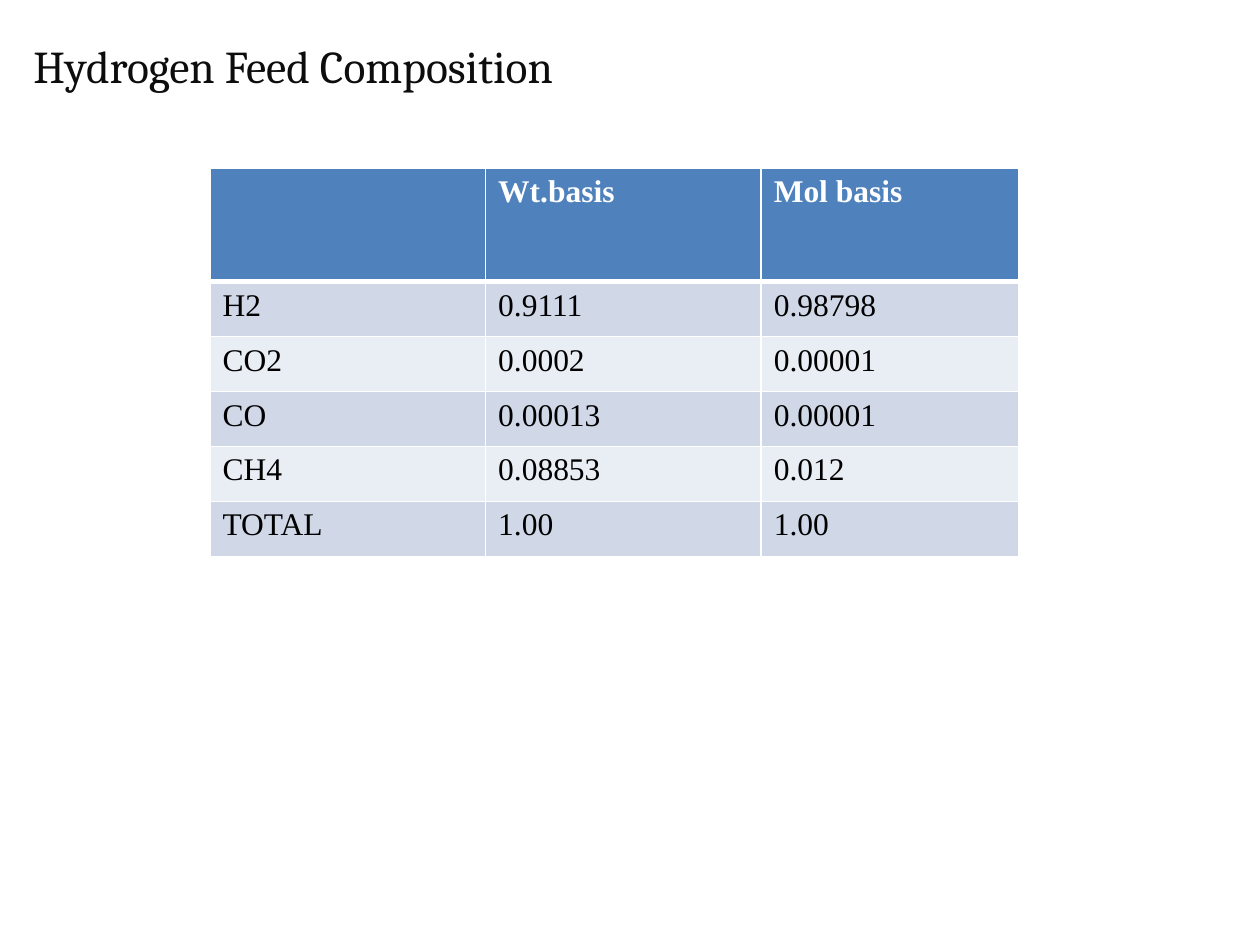
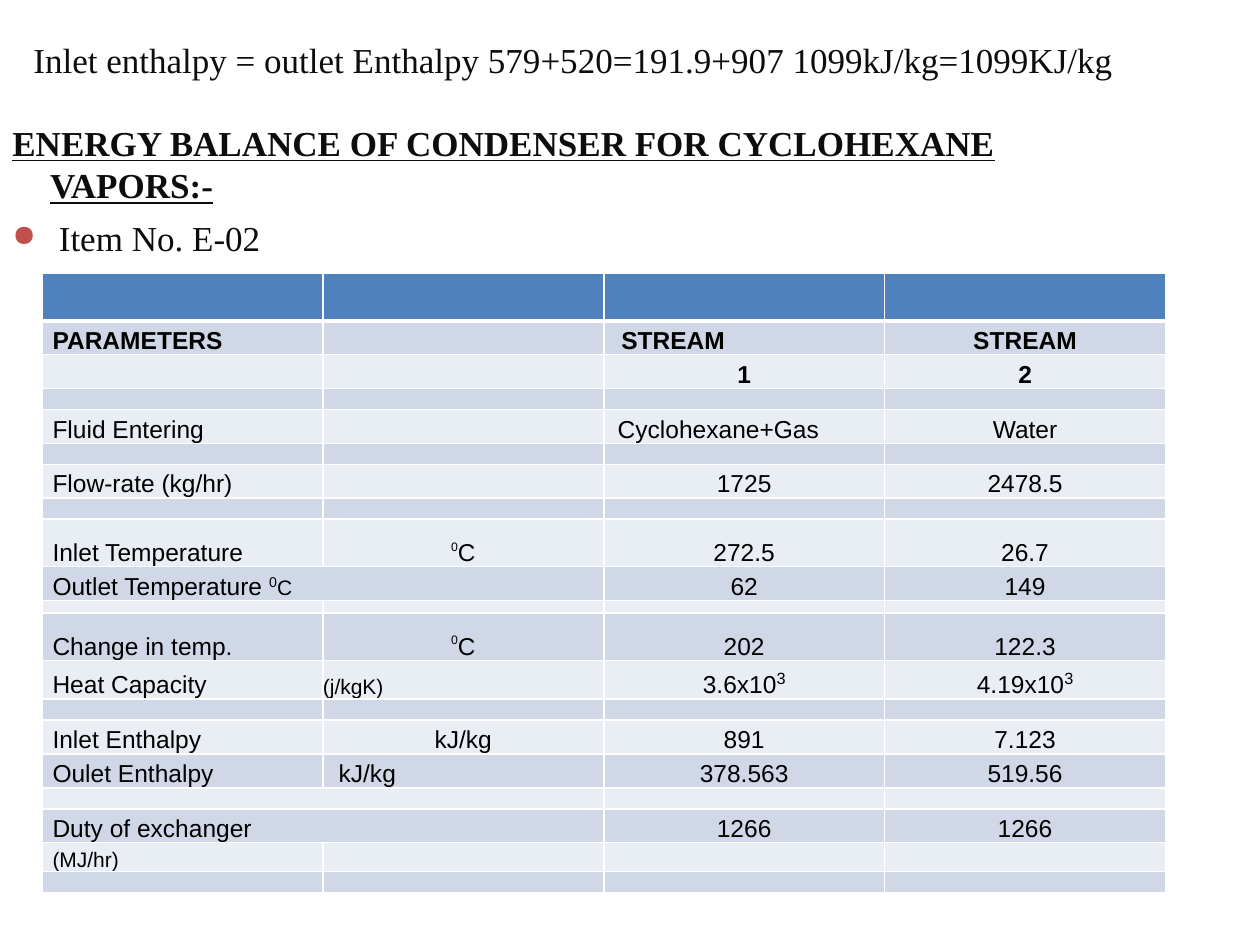
from lxml import etree
from pptx import Presentation
from pptx.dml.color import RGBColor
from pptx.enum import text as txt
from pptx.oxml import ns
from pptx.util import Pt

INK, BLACK, WHITE = "0D0D0D", "000000", "FFFFFF"
BLUE, BANDS, RED = "4F81BD", ("D0D8E8", "E9EDF4"), "C0504D"
SERIF, SANS, TITLE = "Times New Roman", "Arial", "Cambria"

FEED = [
    ["", "Wt.basis", "Mol basis"],
    ["H2", "0.9111", "0.98798"],
    ["CO2", "0.0002", "0.00001"],
    ["CO", "0.00013", "0.00001"],
    ["CH4", "0.08853", "0.012"],
    ["TOTAL", "1.00", "1.00"],
]

# A cell is a string or a list of runs: (text, size, baseline percent).
DEGREE = [("0", 7, 0), ("C", 24, -25)]
GAP = (12, ["", "", "", ""])
DUTY = [  # row height, cells
    (27.4, ["", "", "", ""]),
    (18, ["PARAMETERS", "", "STREAM", "STREAM"]),
    (18, ["", "", "1", "2"]),
    GAP,
    (18, ["Fluid Entering", "", "Cyclohexane+Gas", "Water"]),
    GAP,
    (18, ["Flow-rate (kg/hr)", "", "1725", "2478.5"]),
    GAP,
    (27, ["Inlet Temperature", DEGREE, "272.5", "26.7"]),
    (18, [[("Outlet Temperature ", 14, 0), ("0", 14, 30), ("C", 12, 0)],
          "", "62", "149"]),
    (7.2, ["", "", "", ""]),
    (27, ["Change in temp.", DEGREE, "202", "122.3"]),
    (20, ["Heat Capacity", [("(j/kgK)", 12, 0)],
          [("3.6x10", 14, 0), ("3", 16, 30)],
          [("4.19x10", 14, 0), ("3", 16, 30)]]),
    GAP,
    (18, ["Inlet Enthalpy", "kJ/kg", "891", "7.123"]),
    (18, ["Oulet Enthalpy", "kJ/kg", "378.563", "519.56"]),
    GAP,
    (18, ["Duty of exchanger", "", "1266", "1266"]),
    (16, [[("(MJ/hr)", 12, 0)], "", "", ""]),
    GAP,
]
WIDE = (9, 16, 17)  # rows whose first two cells are one
BOLD = (1, 2)
LEFT = {(1, 2): 10, (4, 2): 8, (12, 1): 0, (15, 1): 9}  # indents


def color(code):
    return RGBColor.from_string(code)


def add(node, tag, **attrs):
    return etree.SubElement(node, ns.qn("a:" + tag), **attrs)


def style(run, font, size, code, bold=False, line=False):
    face = run.font
    face.name, face.size, face.bold = font, Pt(size), bold
    face.underline = line
    face.color.rgb = color(code)


def indent(para, left, first=0):
    props = para._p.get_or_add_pPr()
    props.set("marL", str(Pt(left)))
    props.set("indent", str(Pt(first)))
    return props


def bullet(props, mark, code):
    add(add(props, "buClr"), "srgbClr", val=code)
    add(props, "buSzPct", val="85000")
    add(props, "buChar", char=mark)


def add_box(slide, left, top, width, height, wrap=True):
    frame = slide.shapes.add_textbox(
        Pt(left), Pt(top), Pt(width), Pt(height)).text_frame
    frame.word_wrap = wrap
    return frame


def write(para, words, font, size, **kind):
    para.text = words
    style(para.runs[0], font, size, INK, **kind)


def add_grid(slide, left, top, widths, heights):
    """Add a table with a blue head, banded rows and white rules."""
    grid = slide.shapes.add_table(
        len(heights), len(widths), Pt(left), Pt(top),
        Pt(sum(widths)), Pt(sum(heights))).table
    for col, width in zip(grid.columns, widths):
        col.width = Pt(width)
    for i, height in enumerate(heights):
        grid.rows[i].height = Pt(height)
        for cell in grid.rows[i].cells:
            props = cell._tc.get_or_add_tcPr()
            for side in "LRTB":
                head = (i == 0 and side == "B") or (i == 1 and side == "T")
                rule = add(props, "ln" + side, w=str(Pt(3 if head else 1)))
                add(add(rule, "solidFill"), "srgbClr", val=WHITE)
            cell.fill.solid()
            cell.fill.fore_color.rgb = color(BANDS[(i + 1) % 2] if i else BLUE)
    return grid


def trim(cell):
    """Remove the insets and seat the text at the bottom."""
    cell.margin_left = cell.margin_right = 0
    cell.margin_top = cell.margin_bottom = 0
    cell.vertical_anchor = txt.MSO_ANCHOR.BOTTOM


def fill_duty(cell, spot, runs):
    row, col = spot
    para = cell.text_frame.paragraphs[0]
    trim(cell)
    if not runs:
        add(para._p, "endParaRPr", sz="400")
        return
    if col == 0 or spot in LEFT:
        indent(para, LEFT.get(spot, 6))
    else:
        para.alignment = txt.PP_ALIGN.CENTER
    para.line_spacing = Pt(27.1) if runs is DEGREE else 1.15
    if isinstance(runs, str):
        runs = [(runs, 14, 0)]
    for words, size, base in runs:
        run = para.add_run()
        run.text = words
        style(run, SANS, size, BLACK, bold=row in BOLD)
        if base:
            run.font._element.set("baseline", str(base * 1000))


def feed_slide(slide):
    title = add_box(slide, 12, 18, 648, 360).paragraphs[0]
    write(title, "Hydrogen Feed Composition", TITLE, 26)
    grid = add_grid(slide, 120, 96, [157.5, 157.5, 147], [65] + [31.4] * 5)
    for i, row in enumerate(FEED):
        for j, words in enumerate(row):
            para = grid.cell(i, j).text_frame.paragraphs[0]
            para.text = words
            for run in para.runs:
                style(run, SERIF, 18, BLACK if i else WHITE, bold=i == 0)


def duty_slide(slide):
    sums = add_box(slide, 12, 18, 636, 32, wrap=False)
    sums.vertical_anchor = txt.MSO_ANCHOR.MIDDLE
    write(sums.paragraphs[0], "Inlet enthalpy = outlet Enthalpy "
          "579+520=191.9+907 1099kJ/kg=1099KJ/kg", SERIF, 20)

    body = add_box(slide, 0, 66, 648, 360)
    head = body.paragraphs[0]
    indent(head, 21.6, -21.6)
    write(head, "ENERGY BALANCE OF CONDENSER FOR CYCLOHEXANE VAPORS:-",
          SERIF, 20, bold=True, line=True)
    item = body.add_paragraph()
    bullet(indent(item, 26.6, -26.6), "●", RED)
    item.space_before = Pt(6)
    write(item, "Item No. E-02", SERIF, 20)

    grid = add_grid(slide, 24, 156, [160.5] * 4, [high for high, _ in DUTY])
    for i, (_, row) in enumerate(DUTY):
        for j, runs in enumerate(row):
            fill_duty(grid.cell(i, j), (i, j), runs)
        if i in WIDE:
            grid.cell(i, 0).merge(grid.cell(i, 1))


def main():
    deck = Presentation()
    deck.slide_width, deck.slide_height = Pt(720), Pt(540)
    for build in (feed_slide, duty_slide):
        build(deck.slides.add_slide(deck.slide_layouts[6]))
    deck.save("out.pptx")


if __name__ == "__main__":
    main()
